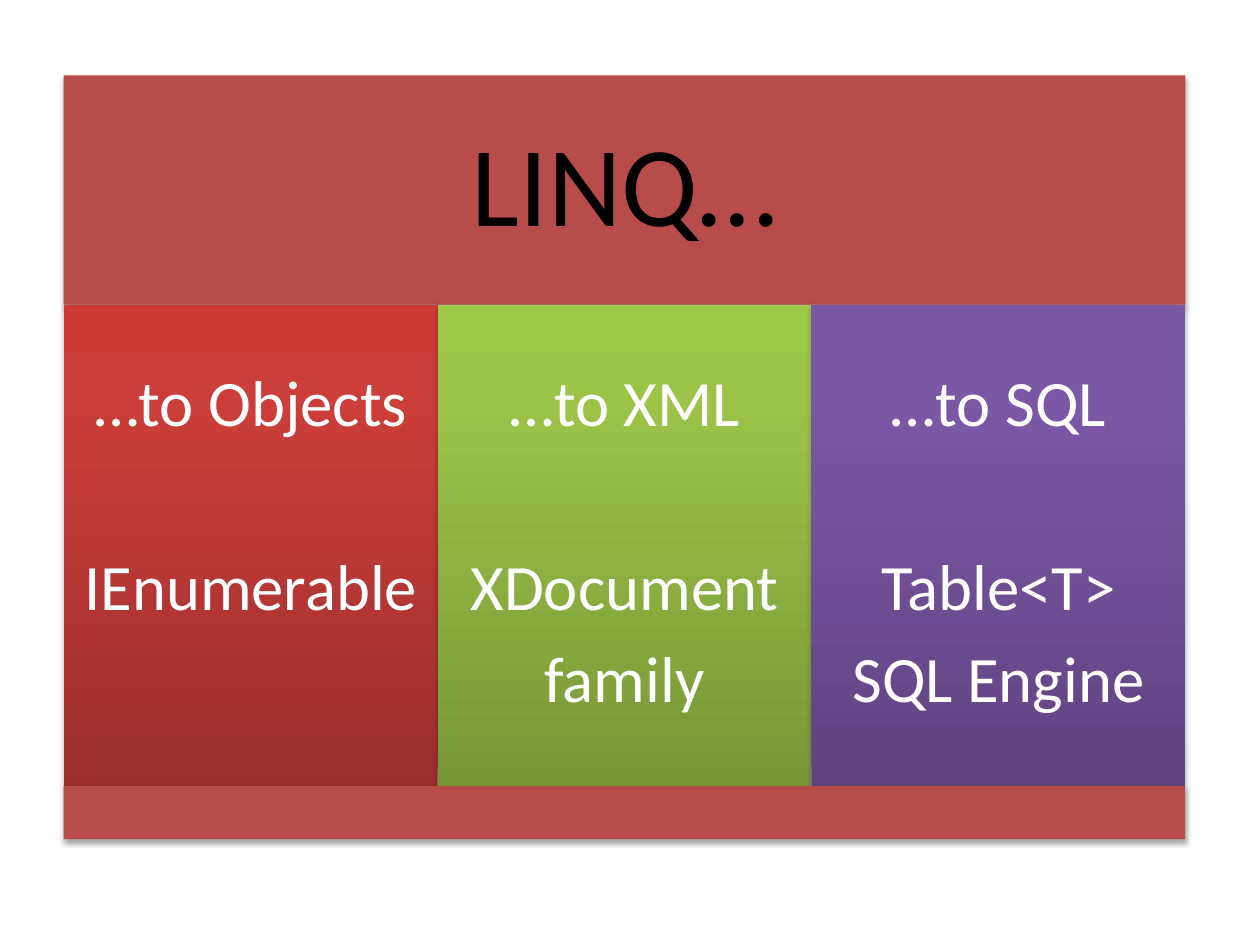
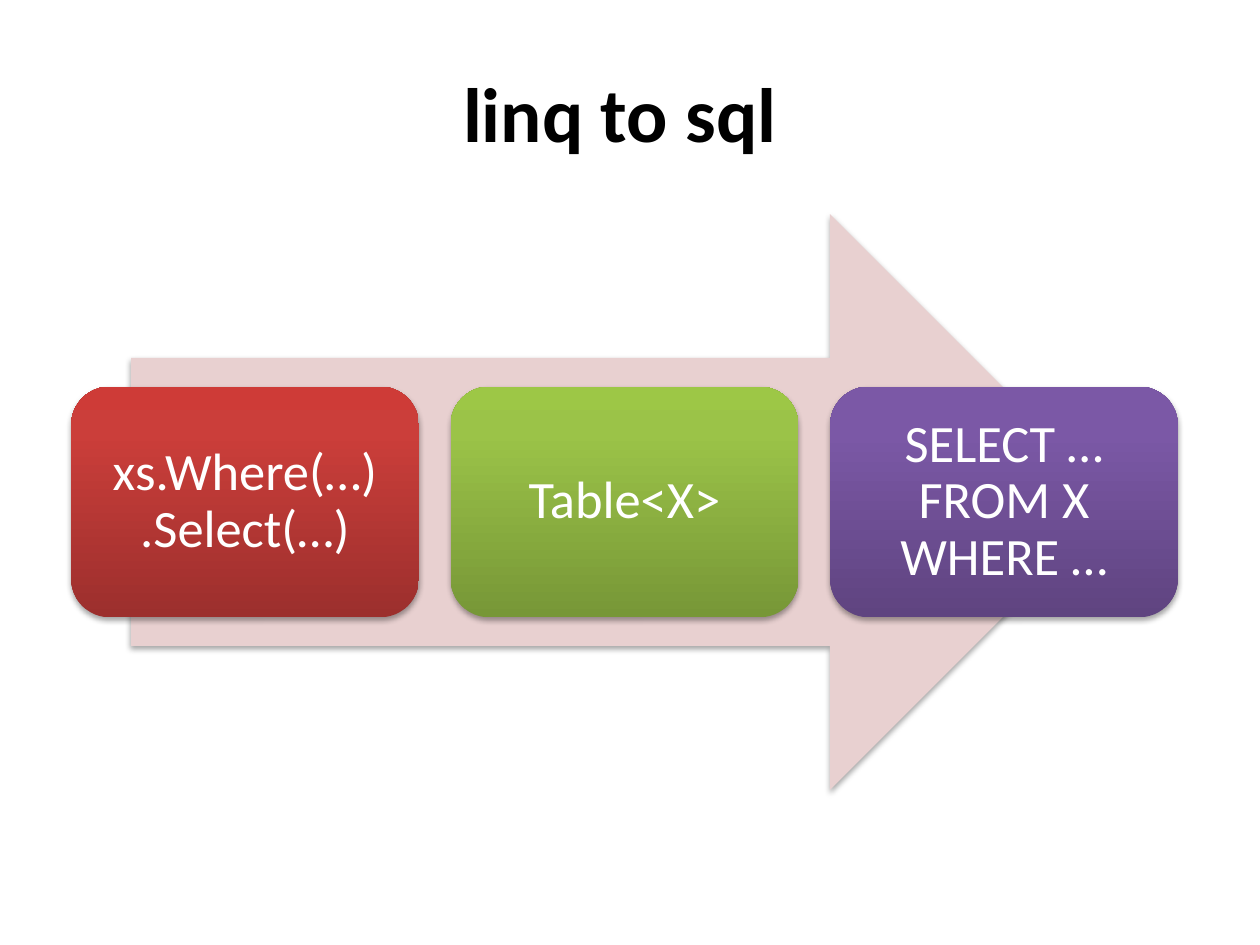
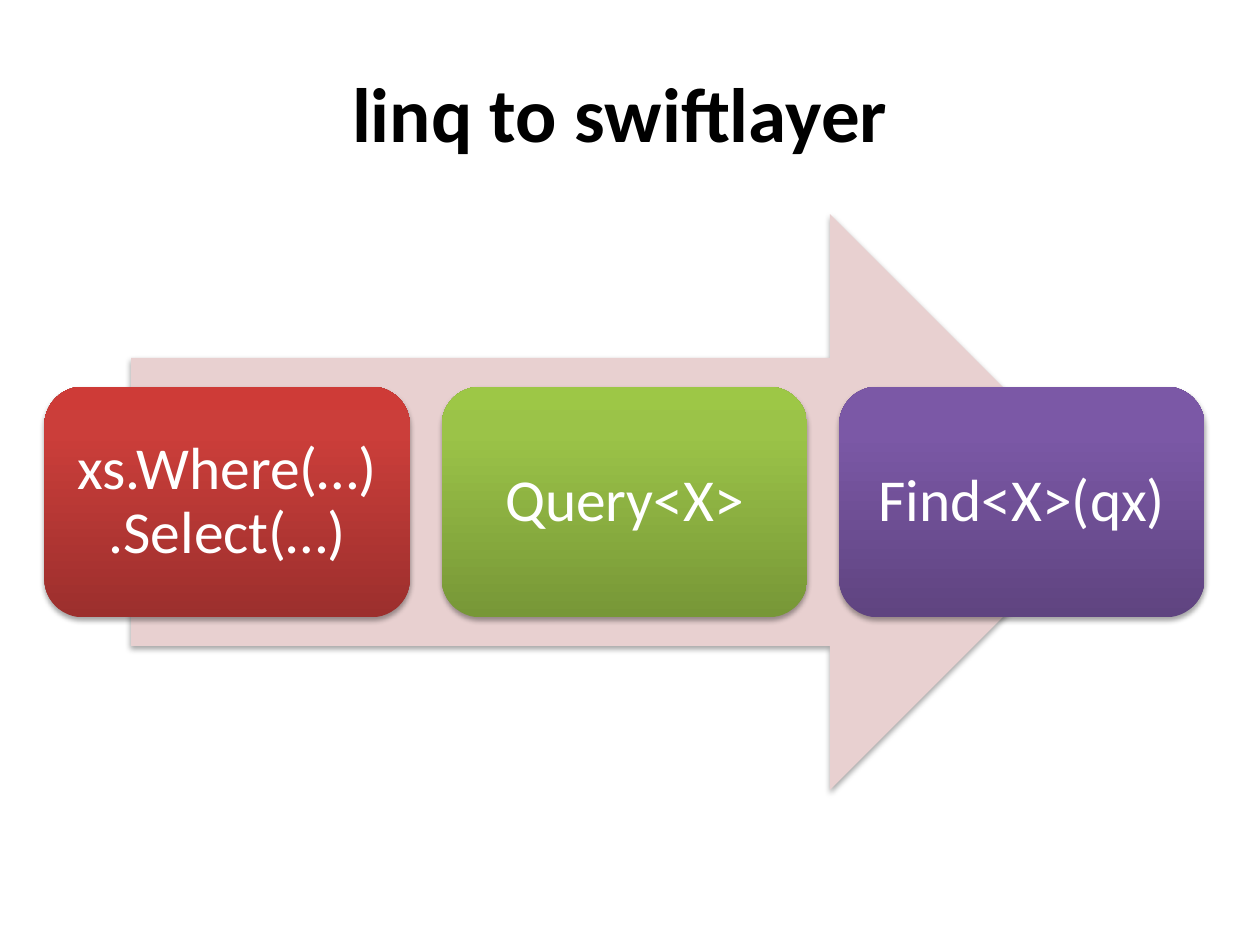
from lxml.etree import SubElement
from pptx import Presentation
from pptx.dml.color import RGBColor
from pptx.enum.shapes import MSO_SHAPE
from pptx.enum.text import MSO_ANCHOR, MSO_AUTO_SIZE, PP_ALIGN
from pptx.oxml.ns import qn
from pptx.util import Cm, Pt

# Content
OVERVIEW_TITLE = "LINQ…"
OVERVIEW_COLUMNS = [
    ["…to Objects", "IEnumerable"],
    ["…to XML", "XDocument", "family"],
    ["…to SQL", "Table<T>", "SQL Engine"],
]
PROCESSES = [
    {"title": "linq to sql", "size": 30, "box_width": 7.01, "margin": 0.3,
     "steps": ["xs.Where(…)\n.Select(…)", "Table<X>", "SELECT …\nFROM X\nWHERE …"]},
    {"title": "linq to swiftlayer", "size": 34, "box_width": 7.37, "margin": 0.36,
     "steps": ["xs.Where(…)\n.Select(…)", "Query<X>", "Find<X>(qx)"]},
]

# Shared style
FONT = "Calibri"
COLORS = {"band": "B74C4A", "arrow": "E8D0D0", "black": "000000", "white": "FFFFFF"}
GRADIENTS = [  # bottom, 80 % of the way up, top
    ("9C2F2D", "CB3E3A", "CE3B37"),
    ("779737", "9BC348", "9DC746"),
    ("5F4480", "7B58A6", "7C57A8"),
]
GRADIENT_STOPS = (0, 80, 100)

# Layout in centimetres
CENTER_X = 12.59
BAND_WIDTH = 22.61
BAND_TOP, HEADER_HEIGHT, COLUMN_HEIGHT, FOOTER_HEIGHT = 1.52, 4.62, 9.71, 1.07
PROCESS_CENTER_Y = 10.12
ARROW_WIDTH, ARROW_HEIGHT = 19.89, 11.61
BOX_HEIGHT, BOX_GAP = 4.65, 0.64
TITLE_WIDTH, TITLE_TOP, TITLE_HEIGHT = 22.4, 1.19, 2.13


def write_text(shape, paragraphs, size, color="white", bold=False, margins=(0.25, 0.13),
               anchor=MSO_ANCHOR.MIDDLE, line_spacing=0.9, first_gap=0, gap=0):
    """Fill a shape with centred paragraphs; margins are (sides, top and bottom) in cm."""
    frame = shape.text_frame
    frame.word_wrap = True
    frame.auto_size = MSO_AUTO_SIZE.NONE
    frame.vertical_anchor = anchor
    frame.margin_left = frame.margin_right = Cm(margins[0])
    frame.margin_top = frame.margin_bottom = Cm(margins[1])
    for index, text in enumerate(paragraphs):
        paragraph = frame.add_paragraph() if index else frame.paragraphs[0]
        paragraph.text = text
        paragraph.alignment = PP_ALIGN.CENTER
        paragraph.line_spacing = line_spacing
        paragraph.space_after = Pt(gap if index else first_gap)
        for run in paragraph.runs:
            run.font.name = FONT
            run.font.size = Pt(size)
            run.font.bold = bold
            run.font.color.rgb = RGBColor.from_string(COLORS[color])


def place(shape, left, top, width, height):
    shape.left, shape.top, shape.width, shape.height = map(Cm, (left, top, width, height))


def add_shadow(shape):
    shape.shadow.inherit = False
    effects = shape._element.spPr.find(qn("a:effectLst"))
    shadow = SubElement(effects, qn("a:outerShdw"), blurRad=str(Pt(3.1)), dist=str(Pt(1.8)),
                        dir="5400000", rotWithShape="0")
    shadow_color = SubElement(shadow, qn("a:srgbClr"), val=COLORS["black"])
    SubElement(shadow_color, qn("a:alpha"), val="35000")


def paint(shape, color=None, gradient=None):
    """Give a shape a solid colour or an upward gradient, no outline, and the soft shadow."""
    if gradient:
        shape.fill.gradient()
        shape.fill.gradient_angle = 90
        stops = shape._element.spPr.find(".//" + qn("a:gsLst"))
        for stop in list(stops):
            stops.remove(stop)
        for position, value in zip(GRADIENT_STOPS, gradient):
            stop = SubElement(stops, qn("a:gs"), pos=str(position * 1000))
            SubElement(stop, qn("a:srgbClr"), val=value)
    else:
        shape.fill.solid()
        shape.fill.fore_color.rgb = RGBColor.from_string(COLORS[color])
    shape.line.fill.background()
    add_shadow(shape)


def add_block(slide, kind, left, top, width, height, **colors):
    shape = slide.shapes.add_shape(kind, *map(Cm, (left, top, width, height)))
    paint(shape, **colors)
    return shape


def add_title_slide(presentation):
    return presentation.slides.add_slide(presentation.slide_layouts[5])


def build_overview(presentation):
    slide = add_title_slide(presentation)
    left = CENTER_X - BAND_WIDTH / 2
    column_top = BAND_TOP + HEADER_HEIGHT

    # Header band
    header = slide.shapes.title
    place(header, left, BAND_TOP, BAND_WIDTH, HEADER_HEIGHT)
    paint(header, color="band")
    write_text(header, [OVERVIEW_TITLE], 65, color="black", margins=(0.69, 0.69))

    # Columns
    width = BAND_WIDTH / len(OVERVIEW_COLUMNS)
    for index, (lines, gradient) in enumerate(zip(OVERVIEW_COLUMNS, GRADIENTS)):
        column = add_block(slide, MSO_SHAPE.RECTANGLE, left + index * width, column_top,
                           width, COLUMN_HEIGHT, gradient=gradient)
        write_text(column, lines, 37, margins=(0.37, 1.34), anchor=MSO_ANCHOR.TOP,
                   first_gap=65.2, gap=12.3)

    # Footer band
    add_block(slide, MSO_SHAPE.RECTANGLE, left, column_top + COLUMN_HEIGHT,
              BAND_WIDTH, FOOTER_HEIGHT, color="band")


def build_process(presentation, process):
    slide = add_title_slide(presentation)
    title = slide.shapes.title
    place(title, 1.3, TITLE_TOP, TITLE_WIDTH, TITLE_HEIGHT)
    write_text(title, [process["title"]], 44, color="black", bold=True,
               anchor=MSO_ANCHOR.TOP, line_spacing=1.0)

    # Background arrow
    add_block(slide, MSO_SHAPE.RIGHT_ARROW, CENTER_X - ARROW_WIDTH / 2,
              PROCESS_CENTER_Y - ARROW_HEIGHT / 2, ARROW_WIDTH, ARROW_HEIGHT, color="arrow")

    # Step boxes, centred as a row
    steps, width = process["steps"], process["box_width"]
    pitch = width + BOX_GAP
    left = CENTER_X - (len(steps) * pitch - BOX_GAP) / 2
    for index, (step, gradient) in enumerate(zip(steps, GRADIENTS)):
        box = add_block(slide, MSO_SHAPE.ROUNDED_RECTANGLE, left + index * pitch,
                        PROCESS_CENTER_Y - BOX_HEIGHT / 2, width, BOX_HEIGHT, gradient=gradient)
        write_text(box, [step], process["size"], margins=(process["margin"],) * 2)


def main():
    presentation = Presentation()
    presentation.slide_width, presentation.slide_height = Cm(25.4), Cm(19.05)
    build_overview(presentation)
    for process in PROCESSES:
        build_process(presentation, process)
    presentation.save("out.pptx")


if __name__ == "__main__":
    main()
